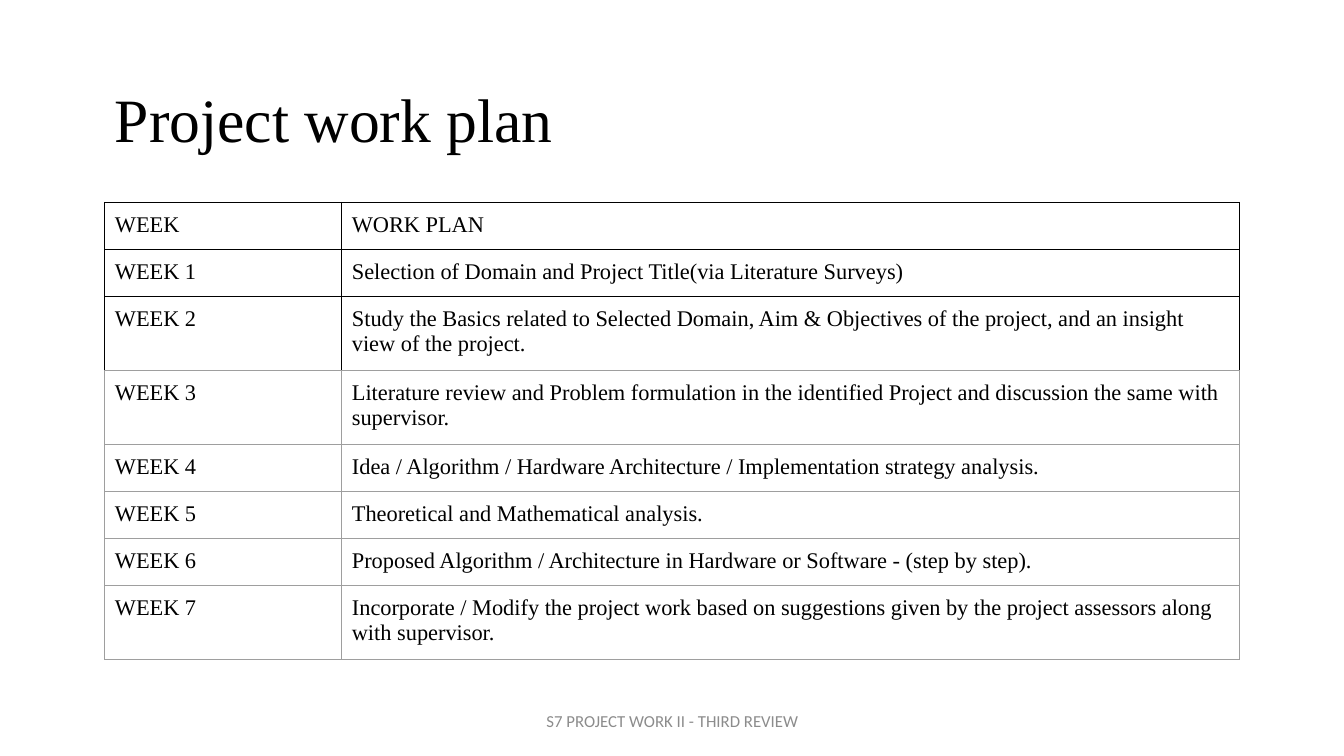
import pptx
import pptx.dml.color
import pptx.enum.text
import pptx.oxml
import pptx.oxml.ns
import pptx.util
from pptx.util import Inches

SERIF = "Times New Roman"
BLACK, GREY = "000000", "9E9E9E"
DARK_ROWS = 3  # leading rows framed in black

WORK_PLAN = [
    ("WEEK", "WORK PLAN"),
    ("WEEK 1", "Selection of Domain and Project Title(via Literature Surveys)"),
    ("WEEK 2", "Study the Basics related to Selected Domain, Aim & Objectives of the project, "
               "and an insight view of the project."),
    ("WEEK 3", "Literature review and Problem formulation in the identified Project and "
               "discussion the same with supervisor."),
    ("WEEK 4", "Idea / Algorithm / Hardware Architecture / Implementation strategy analysis."),
    ("WEEK 5", "Theoretical and Mathematical analysis."),
    ("WEEK 6", "Proposed Algorithm / Architecture in Hardware or Software - (step by step)."),
    ("WEEK 7", "Incorporate / Modify the project work based on suggestions given by the "
               "project assessors along with supervisor."),
]


def rgb(color):
    return pptx.dml.color.RGBColor.from_string(color)


def write(tf, text, size=16, font=SERIF, color=BLACK, align=None, spacing=None):
    tf.word_wrap = True
    p = tf.paragraphs[0]
    p.alignment = align
    p.line_spacing = spacing
    r = p.add_run()
    r.text = text
    r.font.size = pptx.util.Pt(size)
    r.font.name = font
    r.font.color.rgb = rgb(color)


def add_text(slide, left, top, width, height, text, **fmt):
    sp = slide.shapes.add_textbox(Inches(left), Inches(top), Inches(width), Inches(height))
    sp.text_frame.vertical_anchor = pptx.enum.text.MSO_ANCHOR.MIDDLE
    write(sp.text_frame, text, **fmt)


def set_border(cell, side, color, width):
    ns = pptx.oxml.ns.nsdecls("a")
    line = pptx.oxml.parse_xml(
        f'<a:ln{side} {ns} w="{pptx.util.Pt(width)}"><a:solidFill>'
        f'<a:srgbClr val="{color}"/></a:solidFill></a:ln{side}>')
    cell._tc.get_or_add_tcPr().append(line)


def fill_cell(cell, text, dark, last_dark):
    cell.margin_left = cell.margin_right = Inches(0.1)
    cell.margin_top = cell.margin_bottom = Inches(0.1)
    write(cell.text_frame, text)
    for side in "LRTB":
        # The last dark row and the first grey row share a grey edge
        black = dark and not (side == "B" and last_dark)
        set_border(cell, side, BLACK if black else GREY, 1 if black else 0.75)
    cell.fill.background()


def add_plan_table(slide, left, top, widths, height, row_height, rows):
    frame = slide.shapes.add_table(len(rows), len(widths), Inches(left), Inches(top),
                                   Inches(sum(widths)), Inches(height))
    table = frame.table
    table.first_row = table.horz_banding = False
    for column, width in zip(table.columns, widths):
        column.width = Inches(width)
    for i, texts in enumerate(rows):
        table.rows[i].height = Inches(row_height)
        for j, text in enumerate(texts):
            fill_cell(table.cell(i, j), text, i < DARK_ROWS, i == DARK_ROWS - 1)
    frame.height = Inches(height)


def main():
    prs = pptx.Presentation()
    prs.slide_width, prs.slide_height = Inches(13.33), Inches(7.5)
    slide = prs.slides.add_slide(prs.slide_layouts[6])

    # Title
    add_text(slide, 1.04, 0.49, 10.46, 1.45, "Project work plan", size=44, spacing=0.9)

    # Footer
    add_text(slide, 4.42, 6.95, 4.5, 0.4, "S7 PROJECT WORK II - THIRD REVIEW", size=12,
             font="Calibri", color="8C8C8C", align=pptx.enum.text.PP_ALIGN.CENTER)

    # Weekly plan
    add_plan_table(slide, 1.04, 2.01, (2.35, 8.9), 4.53, 0.38, WORK_PLAN)

    prs.save("out.pptx")


if __name__ == "__main__":
    main()
